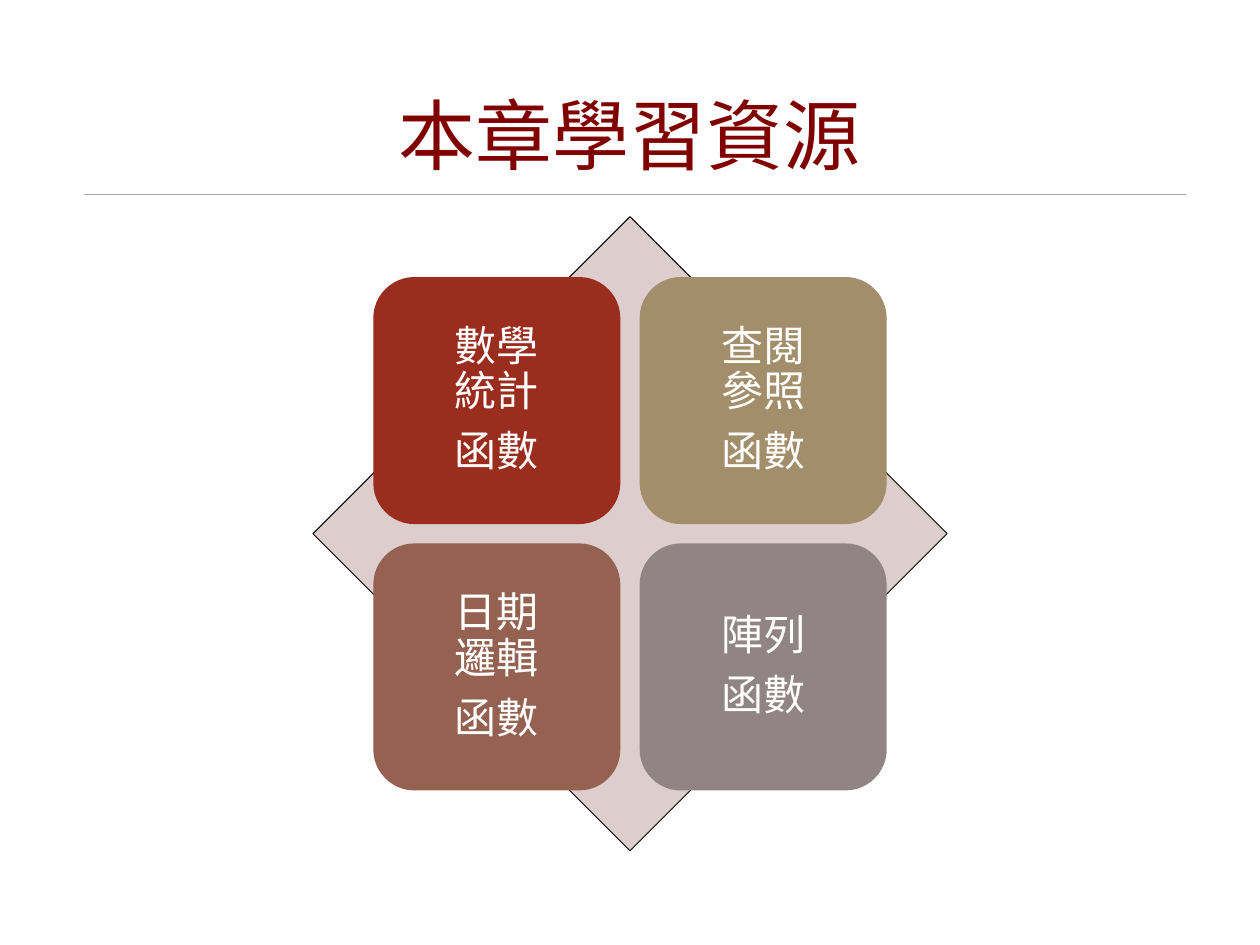
import pptx
import pptx.dml.color
import pptx.enum.shapes
import pptx.enum.text
import pptx.oxml.ns
import pptx.util
from lxml import etree

Pt = pptx.util.Pt
SHAPES = pptx.enum.shapes.MSO_SHAPE
FONT = "Times New Roman"

# Diamond and its two-by-two grid of tiles, in points
CENTER_X, CENTER_Y = 360, 305
DIAMOND = 362.4
TILE, GAP = 141.2, 11
# A vertical tab is a line break within a paragraph
TILES = [
    (["數學\v統計", "函數"], "9B2D1F"),
    (["查閱\v參照", "函數"], "A28E6A"),
    (["日期\v邏輯", "函數"], "956251"),
    (["陣列", "函數"], "918485"),
]


def color(hex_string):
    return pptx.dml.color.RGBColor.from_string(hex_string)


def write(shape, lines, size, hex_color, space_after=0):
    frame = shape.text_frame
    frame.word_wrap = True
    frame.vertical_anchor = pptx.enum.text.MSO_ANCHOR.MIDDLE
    frame.margin_left = frame.margin_right = Pt(7.2)
    frame.margin_top = frame.margin_bottom = Pt(7.2)
    frame.text = "\n".join(lines)
    for para in frame.paragraphs:
        para.alignment = pptx.enum.text.PP_ALIGN.CENTER
        para.line_spacing = 0.9
        para.space_after = Pt(space_after)
        para.font.name = FONT
        para.font.size = Pt(size)
        para.font.color.rgb = color(hex_color)


def add_title(page, text):
    box = page.shapes.add_textbox(Pt(49.7), Pt(38.2), Pt(620.6), Pt(82.8))
    write(box, [text], 44, "800000")


def add_rule(page, left, right, y):
    rule = page.shapes.add_connector(
        pptx.enum.shapes.MSO_CONNECTOR.STRAIGHT, Pt(left), Pt(y), Pt(right), Pt(y))
    rule.line.color.rgb = color("A6A6A6")
    rule.line.width = Pt(0.5)
    etree.SubElement(rule._element.spPr, pptx.oxml.ns.qn("a:effectLst"))


def add_square(page, kind, center_x, center_y, side, fill, outline=None):
    shape = page.shapes.add_shape(
        kind, Pt(center_x - side / 2), Pt(center_y - side / 2), Pt(side), Pt(side))
    shape.shadow.inherit = False
    shape.fill.solid()
    shape.fill.fore_color.rgb = color(fill)
    if outline:
        shape.line.color.rgb = color(outline)
        shape.line.width = Pt(0.5)
    else:
        shape.line.fill.background()
    return shape


def main():
    deck = pptx.Presentation()
    deck.slide_width, deck.slide_height = Pt(720), Pt(540)
    page = deck.slides.add_slide(deck.slide_layouts[6])

    # Heading
    add_rule(page, 48, 677.7, 111.3)
    add_title(page, "本章學習資源")

    # Diamond behind the tiles
    add_square(page, SHAPES.DIAMOND, CENTER_X, CENTER_Y, DIAMOND, "DECDCD", "000000")

    # Four tiles around the centre
    offset = (TILE + GAP) / 2
    for index, (lines, fill) in enumerate(TILES):
        row, column = divmod(index, 2)
        tile = add_square(page, SHAPES.ROUNDED_RECTANGLE,
                          CENTER_X + (2 * column - 1) * offset,
                          CENTER_Y + (2 * row - 1) * offset, TILE, fill)
        write(tile, lines, 24, "FFFFFF", space_after=8.4)

    deck.save("out.pptx")


if __name__ == "__main__":
    main()
